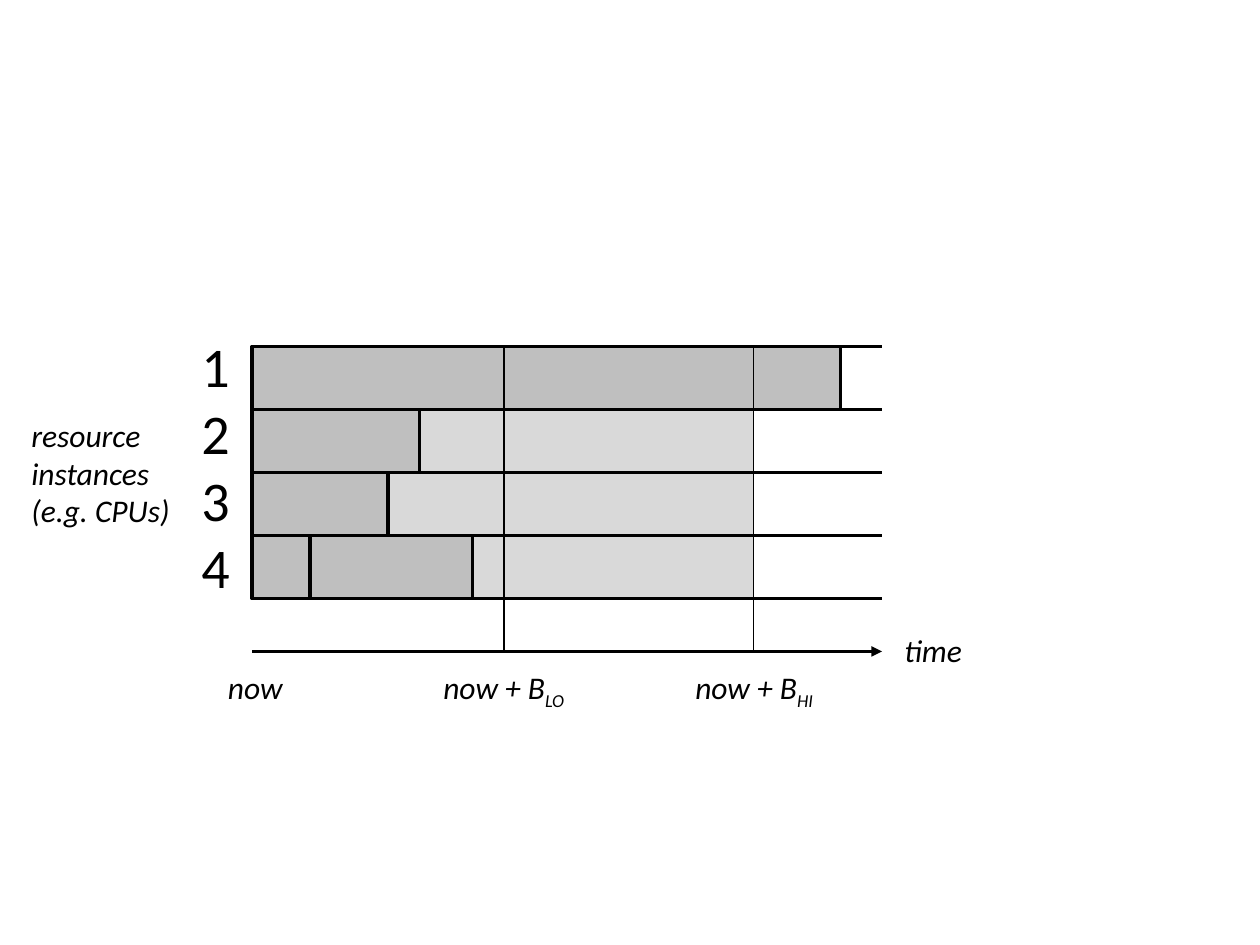
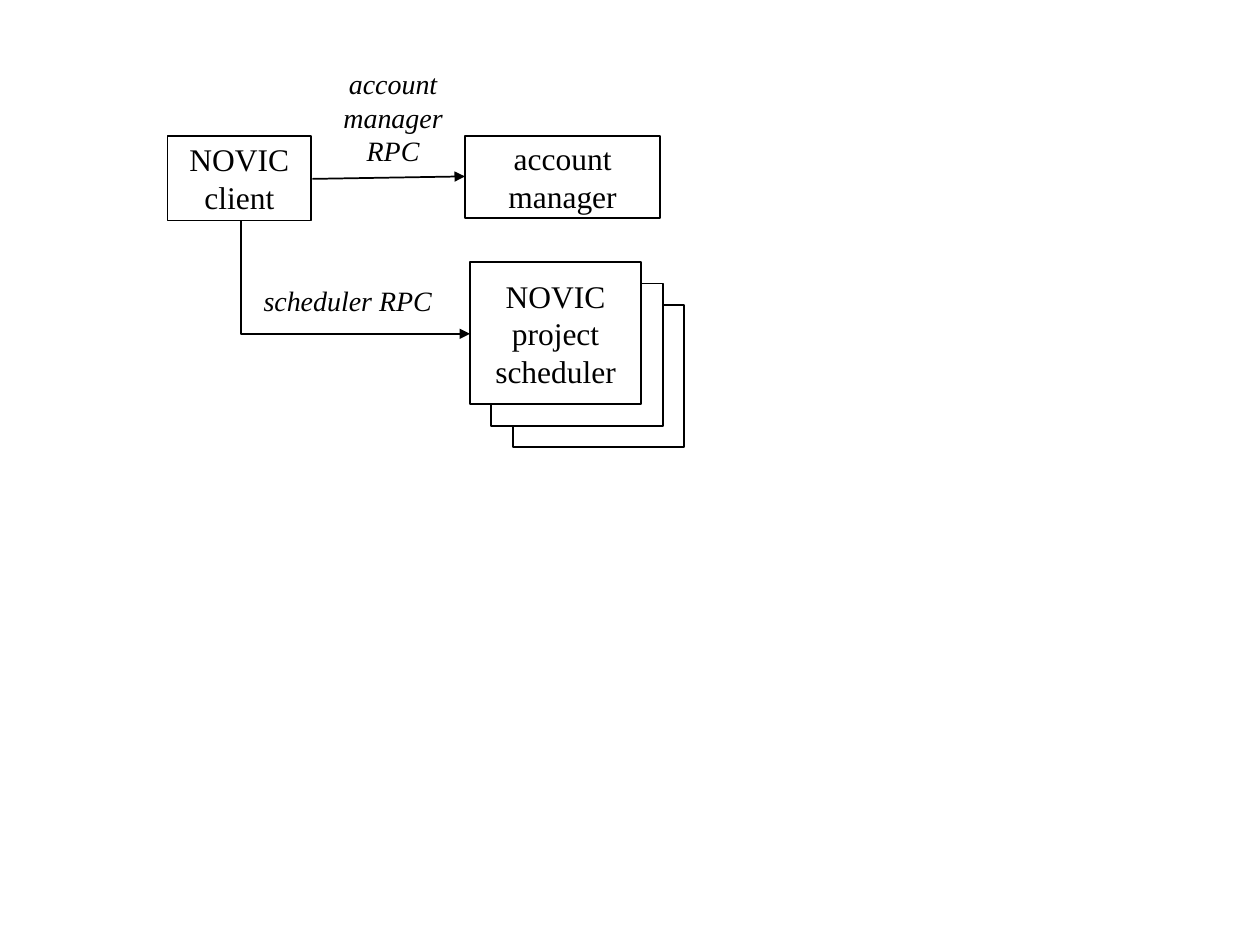
"""Draw a CPU busy-time chart and an RPC diagram."""
from pptx import Presentation, util as u
from pptx.dml.color import RGBColor
from pptx.enum import shapes, text
from pptx.oxml import parse_xml
from pptx.oxml.ns import nsdecls

HUES = {"ink": "000000", "paper": "FFFFFF", "busy": "BFBFBF", "idle": "D9D9D9"}
SANS, SERIF = "Calibri", "Times New Roman"
LEFT, TOP, ROW, ROWS = 2, 2.75, 0.5, 4
AXIS, LOW, HIGH = 5.17, 4, 5.98


def hue(name):
    return RGBColor.from_string(HUES[name])


def style(frame, font, size, slant=False, align=None):
    for para in frame.paragraphs:
        para.alignment = align
        for run in para.runs:
            run.font.name = font
            run.font.size = u.Pt(size)
            run.font.italic = slant
            run.font.color.rgb = hue("ink")


def box(slide, place, fill, width, words=""):
    shape = slide.shapes.add_shape(
        shapes.MSO_SHAPE.RECTANGLE, *map(u.Inches, place))
    shape.shadow.inherit = False
    if fill:
        shape.fill.solid()
        shape.fill.fore_color.rgb = hue(fill)
    else:
        shape.fill.background()
    shape.line.color.rgb = hue("ink")
    shape.line.width = u.Pt(width)
    if words:
        frame = shape.text_frame
        frame.text = words
        frame.vertical_anchor = text.MSO_ANCHOR.MIDDLE
        style(frame, SERIF, 18, align=text.PP_ALIGN.CENTER)


def label(slide, place, words, font, size, slant=True, align=None, sub=""):
    frame = slide.shapes.add_textbox(*map(u.Inches, place)).text_frame
    frame.word_wrap = True
    frame.auto_size = text.MSO_AUTO_SIZE.SHAPE_TO_FIT_TEXT
    frame.text = words
    if sub:
        run = frame.paragraphs[0].add_run()
        run.text = sub
        run._r.get_or_add_rPr().set("baseline", "-25000")
    style(frame, font, size, slant, align)


def line(slide, ends, width, arrow=False):
    link = slide.shapes.add_connector(
        shapes.MSO_CONNECTOR.STRAIGHT, *map(u.Inches, ends))
    link.line.color.rgb = hue("ink")
    link.line.width = u.Pt(width)
    if arrow:
        link.line._get_or_add_ln().append(
            parse_xml(f'<a:tailEnd {nsdecls("a")} type="triangle"/>'))
    link._element.spPr.append(parse_xml(f'<a:effectLst {nsdecls("a")}/>'))
    return link


def elbow(slide, start, end, width):
    """Draw an arrow that runs down and then right."""
    wide, tall = end[0] - start[0], end[1] - start[1]
    midx, midy = (start[0] + end[0]) / 2, (start[1] + end[1]) / 2
    ends = (midx - tall / 2, midy - wide / 2, midx + tall / 2, midy + wide / 2)
    props = line(slide, ends, width, True)._element.spPr
    props.prstGeom.set("prst", "bentConnector2")
    props.xfrm.set("rot", "16200000")
    props.xfrm.set("flipH", "1")


def chart(slide):
    """Show when each CPU is busy."""
    def bar(row, start, end, fill, width):
        box(slide, (start, TOP + row * ROW, end - start, ROW), fill, width)

    for row, start in enumerate((3.33, 3.08, 3.67), 1):
        bar(row, start, HIGH, "idle", 0.25)
    bar(0, LEFT, 6.67, "busy", 2)
    line(slide, (LEFT, AXIS, 7, AXIS), 2, True)
    for row in range(ROWS + 1):
        y = TOP + row * ROW
        line(slide, (LEFT, y, 7, y), 2)
    line(slide, (LEFT, TOP, LEFT, TOP + ROWS * ROW), 2)
    label(slide, (1.5, 2.58, 0.75, 2.26), "1\n2\n3\n4", SANS, 32, False)
    for row, start, end in ((1, LEFT, 3.33), (3, 2.42, 3.75),
                            (3, LEFT, 2.46), (2, LEFT, 3.08)):
        bar(row, start, end, "busy", 2)
    for place, words, sub in (
            ((3.42, 5.25, 1.22, 0.4), "now + B", "LO"),
            ((5.42, 5.25, 1.37, 0.4), "now + B", "HI"),
            ((7.08, 4.96, 0.71, 0.4), "time", ""),
            ((0.15, 3.25, 1.35, 1.01), "resource\ninstances\n(e.g. CPUs)", ""),
            ((1.71, 5.25, 0.71, 0.4), "now", "")):
        label(slide, place, words, SANS, 18, sub=sub)
    for x in (LOW, HIGH):
        line(slide, (x, TOP, x, AXIS), 0.75)


def calls(slide):
    """Show the calls that the client makes."""
    for step, words in ((2, ""), (1, ""), (0, "NOVIC\nproject\nscheduler")):
        shift = step * 0.17
        box(slide, (3.73 + shift, 2.08 + shift, 1.36, 1.13), "paper", 1, words)
    box(slide, (1.33, 1.08, 1.14, 0.67), None, 1, "NOVIC\nclient")
    box(slide, (3.69, 1.08, 1.55, 0.65), "paper", 1, "account\nmanager")
    for place, words in (((1.99, 0.48, 2.26, 0.91), "account\nmanager\nRPC"),
                         ((1.63, 2.2, 2.26, 0.37), "scheduler RPC")):
        label(slide, place, words, SERIF, 16, align=text.PP_ALIGN.CENTER)
    line(slide, (2.48, 1.42, 3.69, 1.4), 1, True)
    elbow(slide, (1.91, 1.75), (3.73, 2.65), 1)


def main():
    deck = Presentation()
    deck.slide_width, deck.slide_height = u.Inches(10), u.Inches(7.5)
    for draw in (chart, calls):
        draw(deck.slides.add_slide(deck.slide_layouts[6]))
    deck.save("out.pptx")


main()
